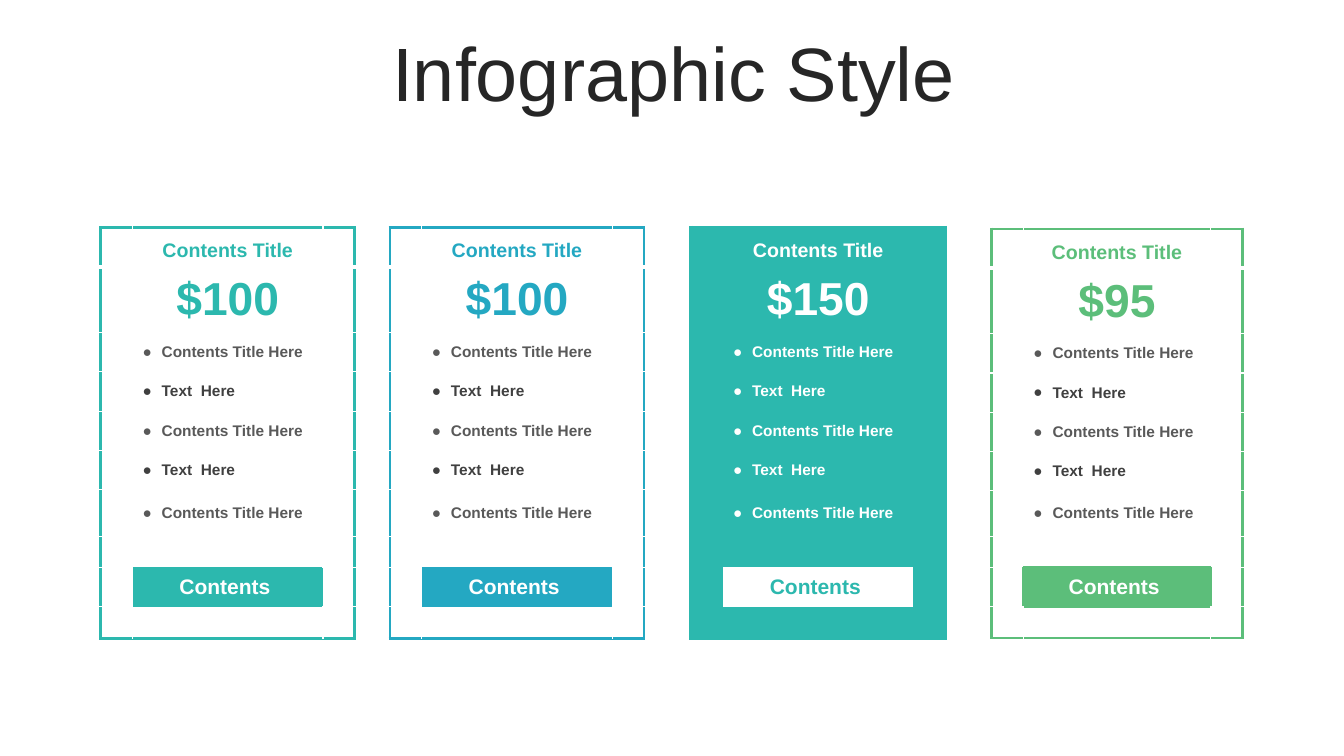
from dataclasses import dataclass

from lxml import etree
from pptx import Presentation
from pptx import util as u
from pptx.dml.color import RGBColor
from pptx.enum import text
from pptx.oxml import ns

WHITE = "FFFFFF"
TEAL = "2CB8AE"
BLUE = "24A8C2"
GREEN = "5CBE7A"
DARK = "404040"
GREY = "595959"
TITLE_ROW, PRICE_ROW, FEATURE_ROW, BUTTON_ROW = 0, 1, 2, 8
FEATURES = ["Contents Title Here", "Text  Here"] * 2 + ["Contents Title Here"]


@dataclass
class Card:
    left: float
    price: str
    accent: str
    solid: bool = False
    button_outline: bool = False
    top: float = 5.74
    middle_width: float = 4.8
    last_feature_height: float = 1.17


def rgb(color):
    return RGBColor.from_string(color)


def add_element(parent, tag, **attributes):
    return etree.SubElement(parent, ns.qn(tag), **attributes)


def write_text(frame, words, size, color, bold=False, align=text.PP_ALIGN.CENTER,
               bullet=None, line_spacing=None):
    paragraph = frame.paragraphs[0]
    paragraph.alignment = align
    if line_spacing:
        paragraph.line_spacing = line_spacing
    if bullet:
        properties = paragraph._p.get_or_add_pPr()
        properties.set("marL", str(u.Cm(0.48)))
        properties.set("indent", str(-u.Cm(0.48)))
        add_element(properties, "a:buFont", typeface="Arial")
        add_element(properties, "a:buChar", char=bullet)
    run = paragraph.add_run()
    run.text = words
    run.font.name = "Arial"
    run.font.size = u.Pt(size)
    run.font.bold = bold
    run.font.color.rgb = rgb(color)


def set_border(cell, side, color, width):
    line = add_element(cell._tc.get_or_add_tcPr(), "a:ln" + side, w=str(u.Pt(width)))
    if color:
        add_element(add_element(line, "a:solidFill"), "a:srgbClr", val=color)
    else:
        add_element(line, "a:noFill")


def border_style(card, row, column, side, row_count):
    row_step, column_step = {"L": (0, -1), "R": (0, 1), "T": (-1, 0), "B": (1, 0)}[side]
    neighbour = (row + row_step, column + column_step)
    if not (0 <= neighbour[0] < row_count and 0 <= neighbour[1] < 3):
        return card.accent, 3 if card.solid else 2.25
    if (BUTTON_ROW, 1) in ((row, column), neighbour):
        return (card.accent, 2.25) if card.button_outline else (None, 0)
    if card.solid:
        return None, 0
    return WHITE, 3 if {row, neighbour[0]} == {TITLE_ROW, PRICE_ROW} else 1


def style_cell(cell, card, row, column, row_count):
    for side in "LRTB":
        set_border(cell, side, *border_style(card, row, column, side, row_count))
    is_button = (row, column) == (BUTTON_ROW, 1)
    cell.fill.solid()
    cell.fill.fore_color.rgb = rgb(card.accent if is_button != card.solid else WHITE)
    cell.vertical_anchor = text.MSO_ANCHOR.BOTTOM if row == TITLE_ROW else text.MSO_ANCHOR.MIDDLE


def add_card(slide, card):
    heights = [0.99, 1.65] + [0.99] * 4 + [card.last_feature_height, 0.79, 0.99, 0.79]
    widths = [0.8, card.middle_width, 0.8]
    table = slide.shapes.add_table(
        len(heights), len(widths), u.Cm(card.left), u.Cm(card.top),
        u.Cm(sum(widths)), u.Cm(sum(heights))).table
    table.first_row = False
    table.horz_banding = False
    for column, width in enumerate(widths):
        table.columns[column].width = u.Cm(width)

    ink = WHITE if card.solid else card.accent
    contents = {
        TITLE_ROW: dict(words="Contents Title", size=14, color=ink),
        PRICE_ROW: dict(words=card.price, size=33, color=ink),
        BUTTON_ROW: dict(words="Contents ", size=15, color=card.accent if card.solid else WHITE),
    }
    for index, feature in enumerate(FEATURES):
        color = WHITE if card.solid else (GREY, DARK)[index % 2]
        contents[FEATURE_ROW + index] = dict(
            words=feature, size=11, color=color, bullet="●", align=text.PP_ALIGN.LEFT)

    for row, height in enumerate(heights):
        table.rows[row].height = u.Cm(height)
        for column in range(len(widths)):
            cell = table.cell(row, column)
            style_cell(cell, card, row, column, len(heights))
            if column == 1 and row in contents:
                write_text(cell.text_frame, bold=True, **contents[row])
            else:
                add_element(cell.text_frame.paragraphs[0]._p, "a:endParaRPr", sz="1000")


def add_title(slide, words):
    title = slide.shapes.title
    title.left, title.top = u.Cm(0.9), u.Cm(0.94)
    title.width, title.height = u.Cm(32.15), u.Cm(2)
    title.text_frame.vertical_anchor = text.MSO_ANCHOR.MIDDLE
    write_text(title.text_frame, words, 54, "262626", line_spacing=0.9)


def main():
    presentation = Presentation()
    presentation.slide_width = u.Cm(33.87)
    presentation.slide_height = u.Cm(19.05)
    slide = presentation.slides.add_slide(presentation.slide_layouts[5])
    add_title(slide, "Infographic Style")
    cards = [
        Card(2.54, "$100", TEAL),
        Card(9.83, "$100", BLUE),
        Card(17.42, "$150", TEAL, solid=True),
        Card(24.99, "$95", GREEN, button_outline=True, top=5.77,
             middle_width=4.72, last_feature_height=1.14),
    ]
    for card in cards:
        add_card(slide, card)
    presentation.save("out.pptx")


if __name__ == "__main__":
    main()
